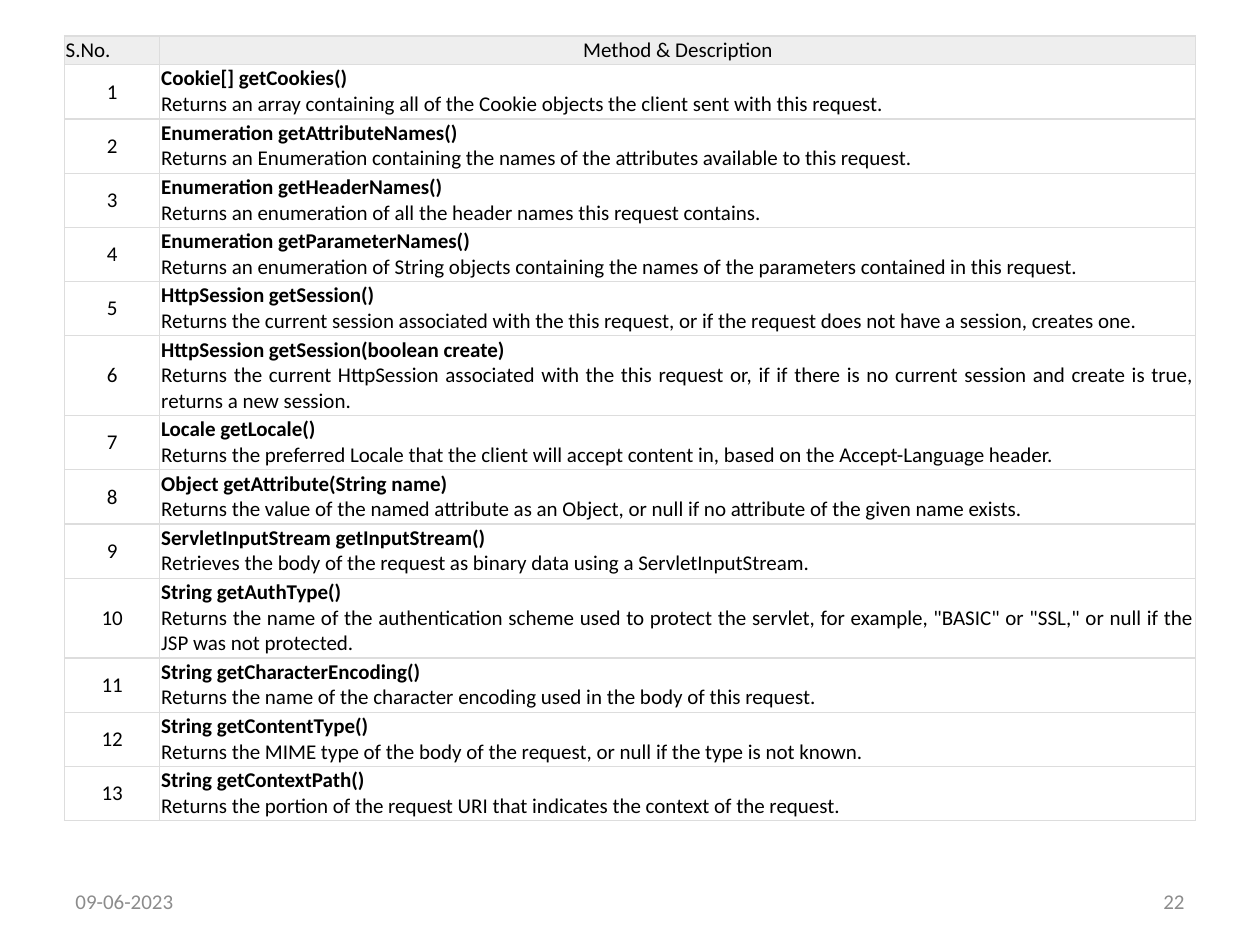
from lxml.etree import SubElement
from pptx import Presentation
from pptx.dml.color import RGBColor
from pptx.enum.text import MSO_ANCHOR, PP_ALIGN
from pptx.oxml.ns import qn
from pptx.util import Pt

COLORS = {"text": "000000", "muted": "8C8C8C", "header": "EEEEEE", "border": "DDDDDD"}

HEADER = ("S.No.", "Method & Description")
METHODS = [
    ("Cookie[] getCookies()",
     "Returns an array containing all of the Cookie objects the client sent with this request."),
    ("Enumeration getAttributeNames()",
     "Returns an Enumeration containing the names of the attributes available to this request."),
    ("Enumeration getHeaderNames()",
     "Returns an enumeration of all the header names this request contains."),
    ("Enumeration getParameterNames()",
     "Returns an enumeration of String objects containing the names of the parameters "
     "contained in this request."),
    ("HttpSession getSession()",
     "Returns the current session associated with the this request, or if the request "
     "does not have a session, creates one."),
    ("HttpSession getSession(boolean create)",
     "Returns the current HttpSession associated with the this request or, if if there is "
     "no current session and create is true, returns a new session."),
    ("Locale getLocale()",
     "Returns the preferred Locale that the client will accept content in, based on the "
     "Accept-Language header."),
    ("Object getAttribute(String name)",
     "Returns the value of the named attribute as an Object, or null if no attribute of "
     "the given name exists."),
    ("ServletInputStream getInputStream()",
     "Retrieves the body of the request as binary data using a ServletInputStream."),
    ("String getAuthType()",
     "Returns the name of the authentication scheme used to protect the servlet, for "
     "example, \"BASIC\" or \"SSL,\" or null if the JSP was not protected."),
    ("String getCharacterEncoding()",
     "Returns the name of the character encoding used in the body of this request."),
    ("String getContentType()",
     "Returns the MIME type of the body of the request, or null if the type is not known."),
    ("String getContextPath()",
     "Returns the portion of the request URI that indicates the context of the request."),
]
HEADER_HEIGHT, ROW_HEIGHT, TALL_HEIGHT = 16.4, 31, 45.6
TALL_ROWS = {6, 10}


def write(p, text, font="Calibri", size=12, color="text", bold=False, align=PP_ALIGN.LEFT):
    p.alignment = align
    r = p.add_run()
    r.text = text
    r.font.name = font
    r.font.size = Pt(size)
    r.font.bold = bold
    r.font.color.rgb = RGBColor.from_string(COLORS[color])


class Deck:
    inset = Pt(0.75)
    border = Pt(0.75)

    def __init__(self, prs):
        self.slide = prs.slides.add_slide(prs.slide_layouts[6])

    def text(self, text, x, y, w, h, **fmt):
        tf = self.slide.shapes.add_textbox(Pt(x), Pt(y), Pt(w), Pt(h)).text_frame
        tf.word_wrap = True
        tf.vertical_anchor = MSO_ANCHOR.MIDDLE
        write(tf.paragraphs[0], text, **fmt)

    def table(self, x, y, widths, heights):
        table = self.slide.shapes.add_table(
            len(heights), len(widths), Pt(x), Pt(y), Pt(sum(widths)), Pt(sum(heights))).table
        table.first_row = table.horz_banding = False
        for column, width in zip(table.columns, widths):
            column.width = Pt(width)
        for row, height in zip(table.rows, heights):
            row.height = Pt(height)
        return table

    def cell(self, cell, lines, fill=None, anchor=MSO_ANCHOR.TOP):
        cell.margin_left = cell.margin_right = self.inset
        cell.margin_top = cell.margin_bottom = self.inset
        cell.vertical_anchor = anchor
        tcPr = cell._tc.get_or_add_tcPr()
        for side in ("a:lnL", "a:lnR", "a:lnT", "a:lnB"):
            ln = SubElement(tcPr, qn(side), w=str(self.border))
            solid = SubElement(ln, qn("a:solidFill"))
            SubElement(solid, qn("a:srgbClr"), val=COLORS["border"])
        if fill:
            cell.fill.solid()
            cell.fill.fore_color.rgb = RGBColor.from_string(COLORS[fill])
        else:
            cell.fill.background()
        tf = cell.text_frame
        for i, (text, fmt) in enumerate(lines):
            p = tf.add_paragraph() if i else tf.paragraphs[0]
            write(p, text, **fmt)


def main():
    prs = Presentation()
    prs.slide_width, prs.slide_height = Pt(720), Pt(540)
    deck = Deck(prs)
    center = {"align": PP_ALIGN.CENTER}
    justify = {"align": PP_ALIGN.JUSTIFY}

    heights = [HEADER_HEIGHT] + [
        TALL_HEIGHT if n in TALL_ROWS else ROW_HEIGHT for n in range(1, len(METHODS) + 1)]
    table = deck.table(36.8, 20.6, [54.6, 592], heights)
    for col, (text, fmt) in enumerate(zip(HEADER, ({}, center))):
        deck.cell(table.cell(0, col), [(text, fmt)], fill="header")
    for n, (method, description) in enumerate(METHODS, 1):
        deck.cell(table.cell(n, 0), [(str(n), center)], anchor=MSO_ANCHOR.MIDDLE)
        deck.cell(table.cell(n, 1),
                  [(method, {"bold": True, **justify}), (description, justify)])

    deck.text("09-06-2023", 36, 500.5, 168, 28.75, color="muted")
    deck.text("22", 516, 500.5, 168, 28.75, color="muted", align=PP_ALIGN.RIGHT)
    prs.save("out.pptx")


if __name__ == "__main__":
    main()
